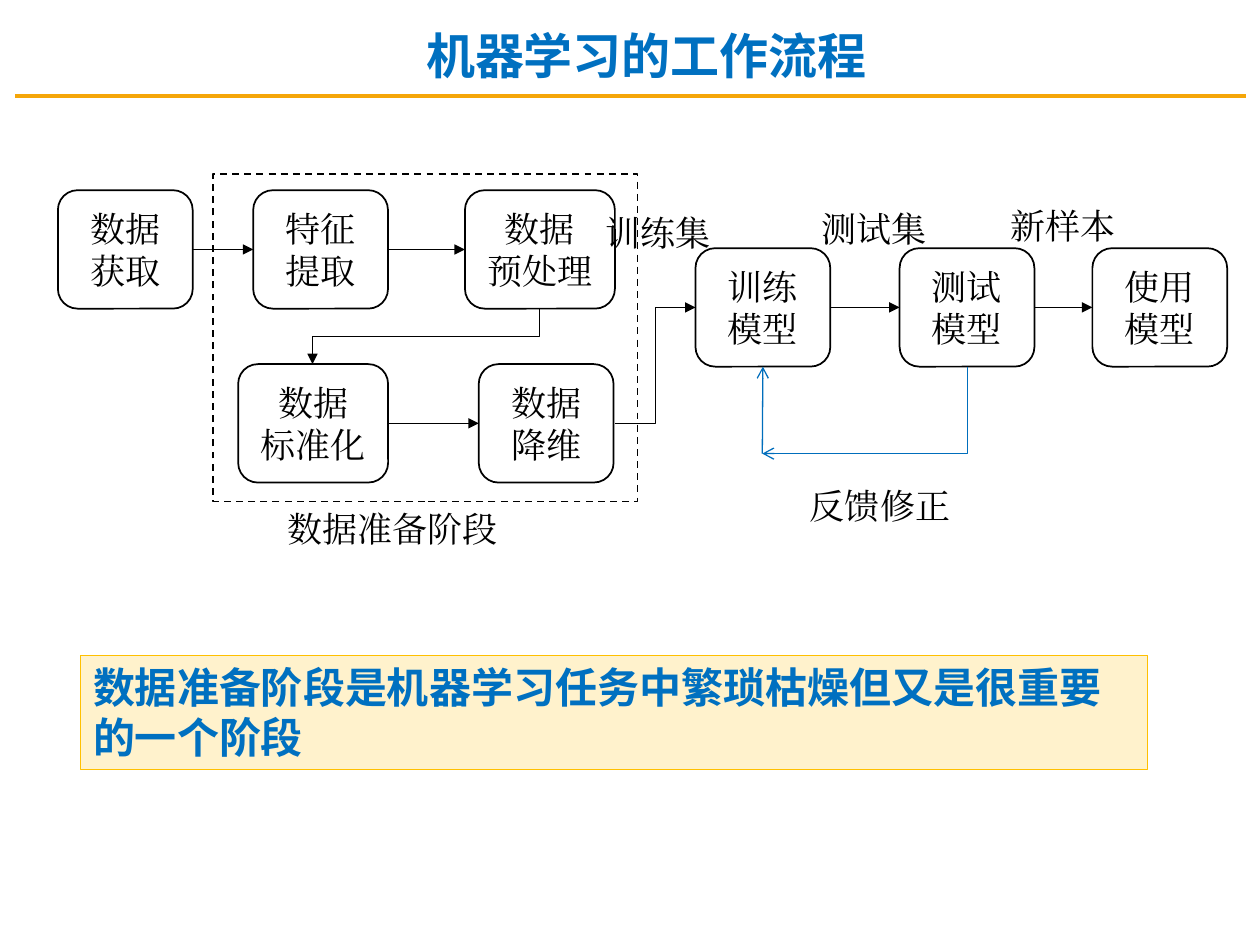
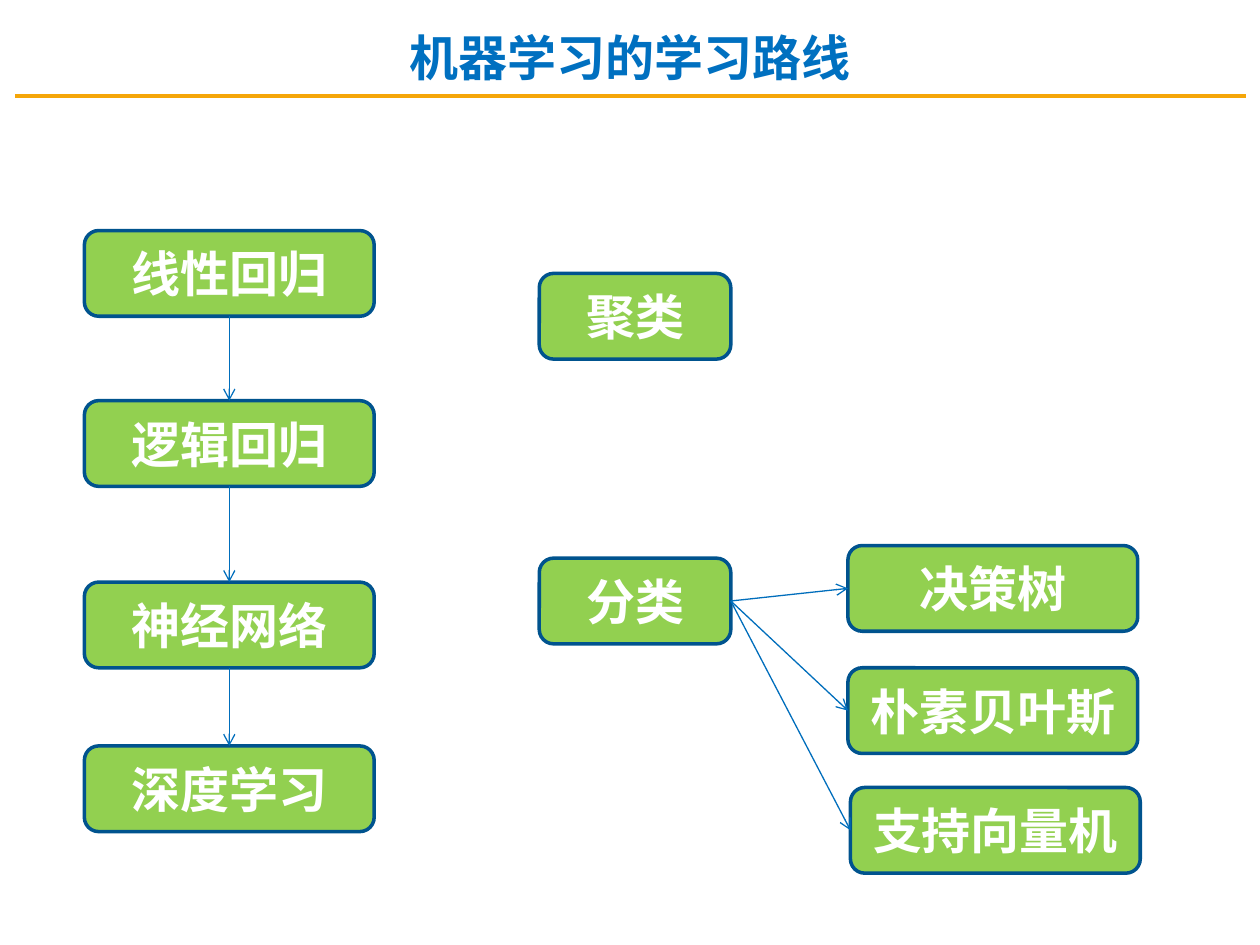
from itertools import pairwise

from lxml.etree import SubElement
from pptx import Presentation
from pptx.dml.color import RGBColor
from pptx.enum.dml import MSO_LINE
from pptx.enum.shapes import MSO_CONNECTOR, MSO_SHAPE
from pptx.enum.text import MSO_ANCHOR, PP_ALIGN
from pptx.oxml.ns import qn
from pptx.util import Inches, Pt

BLACK = RGBColor(0x00, 0x00, 0x00)
WHITE = RGBColor(0xFF, 0xFF, 0xFF)
BLUE = RGBColor(0x00, 0x70, 0xC0)
ARROW = RGBColor(0x00, 0x6E, 0xBC)
NAVY = RGBColor(0x00, 0x53, 0x8E)
GREEN = RGBColor(0x92, 0xD0, 0x50)
ORANGE = RGBColor(0xF5, 0xA6, 0x09)
GOLD = RGBColor(0xFF, 0xC0, 0x00)
CREAM = RGBColor(0xFF, 0xF2, 0xCC)

HEAD = "Noto Sans CJK SC"
SERIF = "Times New Roman"
SANS = "Calibri"

TOP, LEFT, BOTTOM, RIGHT = range(4)


def write(frame, text, size=20, font=SERIF, color=BLACK, bold=False,
          align=PP_ALIGN.LEFT, anchor=MSO_ANCHOR.TOP):
    """Fill a text frame with one paragraph; a newline is a line break."""
    frame.word_wrap = True
    frame.vertical_anchor = anchor
    para = frame.paragraphs[0]
    para.text = text
    para.alignment = align
    for run in para.runs:
        run.font.size = Pt(size)
        run.font.name = font
        run.font.bold = bold
        run.font.color.rgb = color
        SubElement(run.font._element, qn("a:ea"), typeface=font)


class Deck:
    """Holds the presentation, the slide being drawn and the shared style."""

    def __init__(self):
        self.prs = Presentation()
        self.prs.slide_width = Inches(10)
        self.prs.slide_height = Inches(7.5)
        self.slide = None

    def start(self, title, x, y, w):
        self.slide = self.prs.slides.add_slide(self.prs.slide_layouts[6])
        self.line((0.12, 0.76), (9.89, 0.76), color=ORANGE, width=2, tip=None)
        self.label(title, x, y, w, 0.57, size=28, font=HEAD, color=BLUE,
                   bold=True, align=PP_ALIGN.CENTER)

    def label(self, text, x, y, w=1.34, h=0.67, **style):
        box = self.slide.shapes.add_textbox(
            Inches(x), Inches(y), Inches(w), Inches(h))
        write(box.text_frame, text, **style)

    def shape(self, kind, x, y, w, h, fill=None, edge=BLACK, width=1):
        item = self.slide.shapes.add_shape(
            kind, Inches(x), Inches(y), Inches(w), Inches(h))
        item.shadow.inherit = False
        if fill is None:
            item.fill.background()
        else:
            item.fill.solid()
            item.fill.fore_color.rgb = fill
        item.line.color.rgb = edge
        item.line.width = Pt(width)
        return item

    def step(self, text, x, y, w=1.07):
        """Outlined box of the workflow."""
        item = self.shape(MSO_SHAPE.ROUNDED_RECTANGLE, x, y, w, 0.94)
        write(item.text_frame, text, align=PP_ALIGN.CENTER,
              anchor=MSO_ANCHOR.MIDDLE)
        return item

    def topic(self, text, x, y, w=2.3):
        """Green box of the learning route."""
        item = self.shape(MSO_SHAPE.ROUNDED_RECTANGLE, x, y, w, 0.68,
                          fill=GREEN, edge=NAVY, width=2)
        write(item.text_frame, text, size=28, font=SANS, color=WHITE,
              bold=True, align=PP_ALIGN.CENTER, anchor=MSO_ANCHOR.MIDDLE)
        return item

    def line(self, start, end, color=BLACK, width=0.75, tip="triangle",
             kind=MSO_CONNECTOR.STRAIGHT):
        link = self.slide.shapes.add_connector(
            kind, *(Inches(v) for v in (*start, *end)))
        link.line.color.rgb = color
        link.line.width = Pt(width)
        if tip:
            SubElement(link.line._get_or_add_ln(), qn("a:tailEnd"), type=tip)
        SubElement(link._element.spPr, qn("a:effectLst"))
        return link

    def join(self, one, out, two, into, **style):
        """Straight arrow from a side of one box to a side of another."""
        link = self.line((0, 0), (1, 1), **style)
        link.begin_connect(one, out)
        link.end_connect(two, into)

    def bend(self, start, end, preset="bentConnector3", **style):
        """Elbow that leaves downwards and ends lower left: a quarter turn."""
        (x1, y1), (x2, y2) = start, end
        mx, my = (x1 + x2) / 2, (y1 + y2) / 2
        dx, dy = (x1 - x2) / 2, (y2 - y1) / 2
        link = self.line((mx - dy, my - dx), (mx + dy, my + dx),
                         kind=MSO_CONNECTOR.ELBOW, **style)
        props = link._element.spPr
        props.find(qn("a:xfrm")).set("rot", str(90 * 60000))
        props.find(qn("a:prstGeom")).set("prst", preset)


def flow(deck):
    deck.start("机器学习的工作流程", 2.86, 0.15, 4.54)
    high, mid, low = 1.51, 1.97, 2.89
    gain = deck.step("数据获取", 0.46, high)
    pick = deck.step("特征提取", 2.01, high)
    prep = deck.step("数据\n预处理", 3.69, high, 1.19)
    norm = deck.step("数据\n标准化", 1.89, low, 1.19)
    cut = deck.step("数据降维", 3.8, low)
    train = deck.step("训练模型", 5.52, mid)
    test = deck.step("测试模型", 7.14, mid)
    use = deck.step("使用模型", 8.67, mid)

    for text, x, y in (("训练集", 4.71, 1.63), ("测试集", 6.42, 1.6),
                       ("新样本", 7.92, 1.57), ("反馈修正", 6.33, 3.8)):
        deck.label(text, x, y)
    deck.label("数据准备阶段", 2.18, 3.98, 2.27, 0.55)

    for row in ((gain, pick, prep), (norm, cut), (train, test, use)):
        for one, two in pairwise(row):
            deck.join(one, RIGHT, two, LEFT)
    deck.bend((4.28, 2.45), (2.48, 2.89))
    deck.line((4.88, 3.36), (5.52, 2.44), kind=MSO_CONNECTOR.ELBOW)

    stage = deck.shape(MSO_SHAPE.RECTANGLE, 1.69, 1.38, 3.37, 2.6)
    stage.line.dash_style = MSO_LINE.DASH

    turn = (6.05, 3.6)
    deck.bend((7.68, 2.91), turn, "bentConnector2", color=ARROW, tip="arrow")
    back = deck.line(turn, (6.05, 2.91), color=ARROW, tip="arrow")
    back.end_connect(train, BOTTOM)

    note = deck.shape(MSO_SHAPE.RECTANGLE, 0.64, 5.2, 8.47, 0.91,
                      fill=CREAM, edge=GOLD, width=0.75)
    write(note.text_frame,
          "数据准备阶段是机器学习任务中繁琐枯燥但又是很重要的一个阶段",
          size=24, font=SANS, color=BLUE, bold=True)


def route(deck):
    deck.start("机器学习的学习路线", 0, 0.17, 10)
    chain = [deck.topic(text, 0.67, y) for text, y in (
        ("线性回归", 1.83), ("逻辑回归", 3.18),
        ("神经网络", 4.62), ("深度学习", 5.92))]
    deck.topic("聚类", 4.28, 2.17, 1.52)
    sort = deck.topic("分类", 4.28, 4.43, 1.52)
    kinds = [deck.topic(text, x, y) for text, x, y in (
        ("决策树", 6.73, 4.33), ("朴素贝叶斯", 6.73, 5.3),
        ("支持向量机", 6.75, 6.25))]

    for one, two in pairwise(chain):
        deck.join(one, BOTTOM, two, TOP, color=ARROW, tip="arrow")
    for kind in kinds:
        deck.join(sort, RIGHT, kind, LEFT, color=ARROW, tip="arrow")


def main():
    deck = Deck()
    flow(deck)
    route(deck)
    deck.prs.save("out.pptx")


if __name__ == "__main__":
    main()
